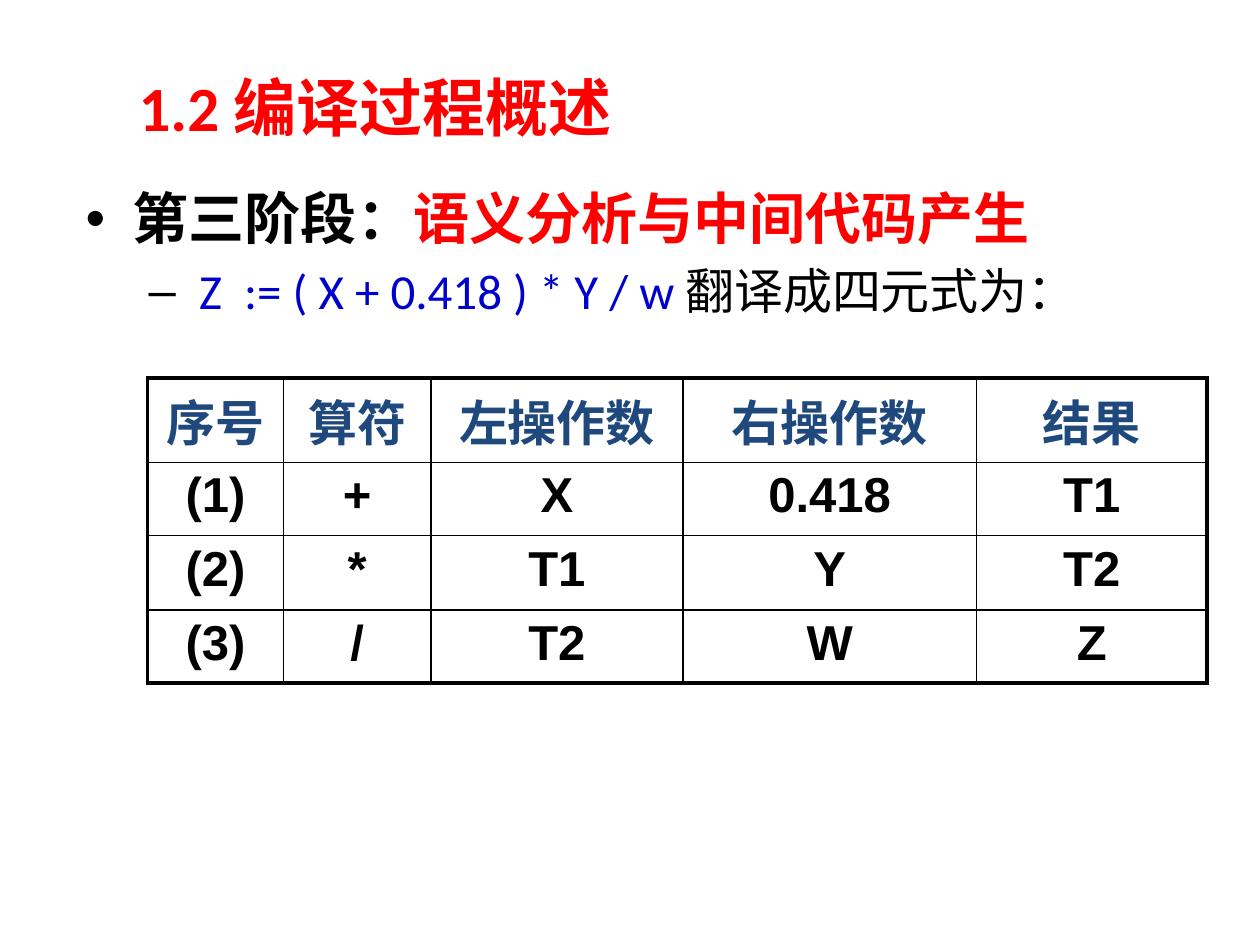
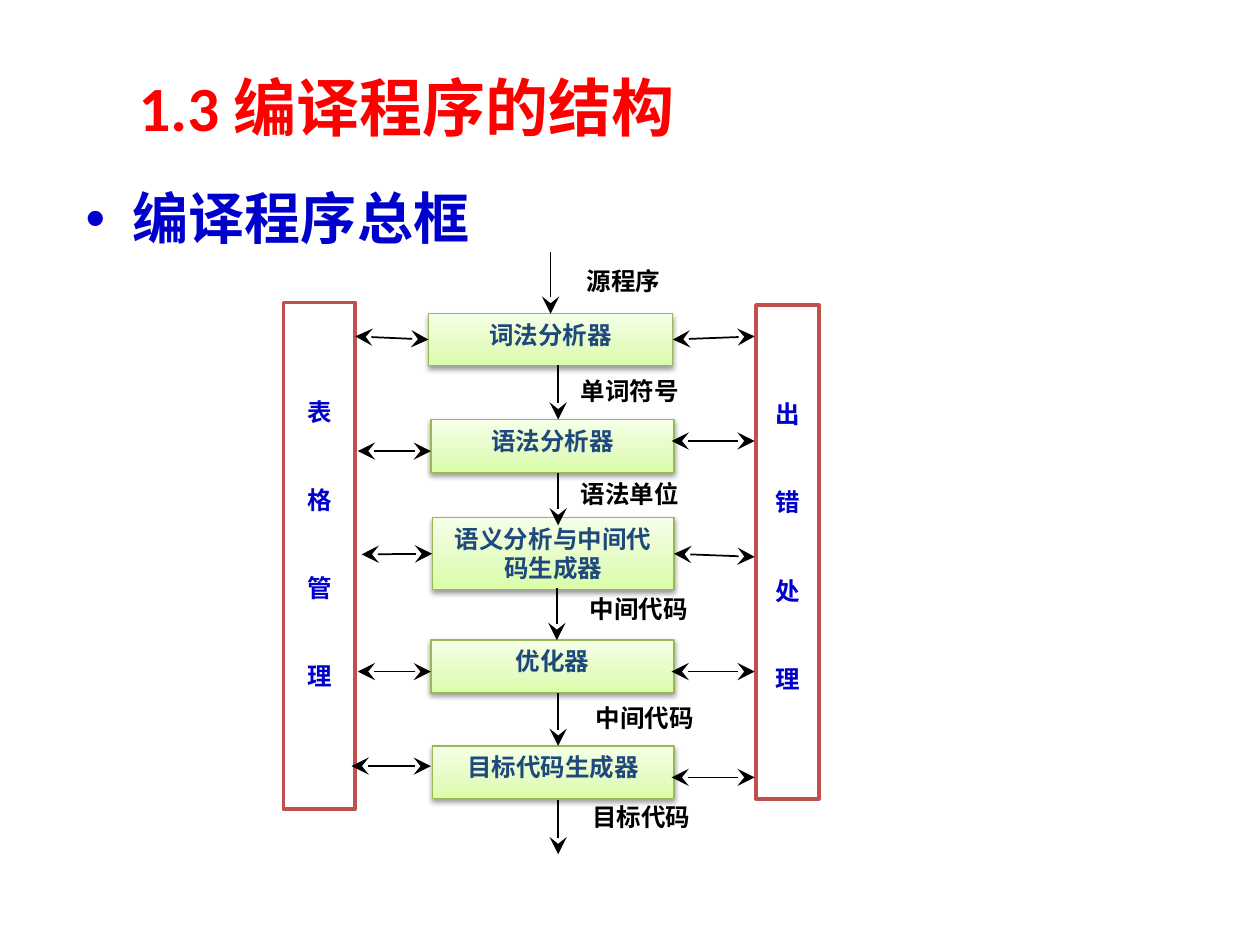
from pptx import Presentation
from pptx.dml.color import RGBColor
from pptx.enum.shapes import MSO_CONNECTOR, MSO_SHAPE
from pptx.enum.text import MSO_ANCHOR, MSO_AUTO_SIZE, PP_ALIGN
from pptx.oxml import parse_xml
from pptx.oxml.ns import nsdecls
from pptx.util import Inches, Pt

STRAIGHT = MSO_CONNECTOR.STRAIGHT
RECT = MSO_SHAPE.RECTANGLE
LEFT, CENTER = PP_ALIGN.LEFT, PP_ALIGN.CENTER
TOP, MIDDLE = MSO_ANCHOR.TOP, MSO_ANCHOR.MIDDLE
NO_FIT = MSO_AUTO_SIZE.NONE
SIDE_TOP, SIDE_LEFT, SIDE_RIGHT = 0, 1, 3

RED, BLUE, NAVY = "FF0000", "0000CC", "1F497D"
BLACK, WHITE = "000000", "FFFFFF"
GREEN_LINE, PANEL_LINE = "98B955", "C0504D"
GREEN_STOPS = [(0, "DAFDA7"), (35, "E4FCC2"), (100, "F5FFE7")]
CALIBRI, ARIAL, TIMES, NOTO = "Calibri", "Arial", "Times New Roman", "Noto Sans CJK SC"

QUADRUPLES = [
    ["序号", "算符", "左操作数", "右操作数", "结果"],
    ["(1)", "+", "X", "0.418", "T1"],
    ["(2)", "*", "T1", "Y", "T2"],
    ["(3)", "/", "T2", "W", "Z"],
]
COL_WIDTHS = [1.08, 1.17, 2, 2.33, 1.83]
ROW_HEIGHTS = [0.67, 0.58, 0.59, 0.58]

STAGES = [
    ("词法分析器", TIMES, (3.4, 2.49, 1.94, 0.41), (3.4, 2.82, 2.67), 2.67),
    ("语法分析器", TIMES, (3.42, 3.33, 1.93, 0.42), (3.42, 2.84, 3.58), 3.5),
    ("语义分析与中间代码生成器", NOTO, (3.43, 4.11, 1.92, 0.57), (3.44, 2.87, 4.4), 4.42),
    ("优化器", NOTO, (3.42, 5.08, 1.93, 0.42), (3.42, 2.84, 5.33), 5.33),
    ("目标代码生成器", NOTO, (3.43, 5.92, 1.92, 0.42), (3.42, 2.79, 6.08), 6.17),
]
FLOWS = [
    ("源程序", (4.56, 2.07, 1.44, 0.32), (4.39, 2, 2.5)),
    ("单词符号", (4.51, 2.96, 1.5, 0.28), (4.43, 2.9, 3.33)),
    ("语法单位", (4.51, 3.8, 1.48, 0.24), (4.43, 3.75, 4.17)),
    ("中间代码", (4.58, 4.71, 1.49, 0.25), (4.42, 4.67, 5.08)),
    ("中间代码", (4.63, 5.58, 1.54, 0.23), (4.43, 5.5, 5.92)),
    ("目标代码", (4.6, 6.36, 1.48, 0.24), (4.43, 6.35, 6.78)),
]


def rgb(value):
    """Turn a hex string into a colour."""
    return RGBColor.from_string(value)


def add_run(p, text, size, color, font, bold=True):
    """Add one formatted run to a paragraph."""
    r = p.add_run()
    r.text = text
    r.font.size, r.font.bold, r.font.name = Pt(size), bold, font
    r.font.color.rgb = rgb(color)


def place(sp, left, top, width, height):
    """Move and size a shape in inches."""
    sp.left, sp.top = Inches(left), Inches(top)
    sp.width, sp.height = Inches(width), Inches(height)


def add_titled_slide(prs, title, body_box, paragraphs):
    """Add a slide with a red title and a bulleted body."""
    s = prs.slides.add_slide(prs.slide_layouts[1])
    place(s.shapes.title, 1, 0.51, 6.75, 0.67)
    tf = s.shapes.title.text_frame
    tf.auto_size = NO_FIT
    tf.paragraphs[0].alignment = LEFT
    add_run(tf.paragraphs[0], title, 36, RED, CALIBRI)
    body = s.placeholders[1]
    place(body, *body_box)
    tf = body.text_frame
    tf.auto_size = NO_FIT
    for level, runs in enumerate(paragraphs):
        p = tf.add_paragraph() if level else tf.paragraphs[0]
        p.level = level
        if level:
            pPr = p._p.get_or_add_pPr()
            pPr.set("marL", str(Inches(0.9)))
            pPr.set("indent", str(Inches(-0.4)))
            pPr.append(parse_xml(f'<a:buClr {nsdecls("a")}>'
                                 f'<a:srgbClr val="{BLACK}"/></a:buClr>'))
        else:
            p.space_before = Pt(0)
        for run in runs:
            add_run(p, *run)
    return s


def set_borders(cell, widths):
    """Draw the left, right, top and bottom borders of a cell."""
    tcPr = cell._tc.get_or_add_tcPr()
    for i, (side, width) in enumerate(zip("LRTB", widths)):
        tcPr.insert(i, parse_xml(
            f'<a:ln{side} {nsdecls("a")} w="{Pt(width)}"><a:solidFill>'
            f'<a:srgbClr val="{BLACK}"/></a:solidFill></a:ln{side}>'))


def add_quadruple_table(s, left, top):
    """Add the table of quadruples with a heavy outer frame."""
    last_row, last_col = len(ROW_HEIGHTS) - 1, len(COL_WIDTHS) - 1
    table = s.shapes.add_table(
        last_row + 1, last_col + 1, Inches(left), Inches(top),
        Inches(sum(COL_WIDTHS)), Inches(sum(ROW_HEIGHTS))).table
    table.first_row = table.horz_banding = False
    for column, width in zip(table.columns, COL_WIDTHS):
        column.width = Inches(width)
    for i, (row, height) in enumerate(zip(table.rows, ROW_HEIGHTS)):
        row.height = Inches(height)
        for j, text in enumerate(QUADRUPLES[i]):
            cell = table.cell(i, j)
            cell.fill.solid()
            cell.fill.fore_color.rgb = rgb(WHITE)
            outer = (j == 0, j == last_col, i == 0, i == last_row)
            set_borders(cell, [2.25 if edge else 1 for edge in outer])
            p = cell.text_frame.paragraphs[0]
            p.alignment = CENTER
            add_run(p, text, 28, BLACK if i else NAVY, ARIAL)


def add_box(s, box, line, width):
    """Add an outlined rectangle with top-anchored, wrapped text."""
    sp = s.shapes.add_shape(RECT, *map(Inches, box))
    sp.line.color.rgb = rgb(line)
    sp.line.width = Pt(width)
    sp.text_frame.word_wrap = True
    sp.text_frame.vertical_anchor = TOP
    return sp


def add_stage(s, box, text, font):
    """Add a green gradient stage box with a soft shadow."""
    sp = add_box(s, box, GREEN_LINE, 0.75)
    sp.fill.gradient()
    sp.fill.gradient_angle = 90
    stops = sp._element.spPr.find(".//{*}gsLst")
    stops.clear()
    for position, color in GREEN_STOPS:
        stops.append(parse_xml(
            f'<a:gs {nsdecls("a")} pos="{position * 1000}">'
            f'<a:srgbClr val="{color}"/></a:gs>'))
    sp._element.spPr.append(parse_xml(
        f'<a:effectLst {nsdecls("a")}><a:outerShdw blurRad="{Pt(3.1)}" '
        f'dist="{Pt(1.6)}" dir="5400000" rotWithShape="0"><a:srgbClr val="{BLACK}">'
        '<a:alpha val="38000"/></a:srgbClr></a:outerShdw></a:effectLst>'))
    p = sp.text_frame.paragraphs[0]
    p.alignment = CENTER
    add_run(p, text, 14, NAVY, font)
    return sp


def add_panel(s, box, text):
    """Add a side panel whose characters run downwards."""
    sp = add_box(s, box, PANEL_LINE, 2)
    sp.shadow.inherit = False
    sp.fill.solid()
    sp.fill.fore_color.rgb = rgb(WHITE)
    tf = sp.text_frame
    tf.margin_top = Inches(0.75)
    for i, char in enumerate(text):
        p = tf.add_paragraph() if i else tf.paragraphs[0]
        p.alignment = CENTER
        p.space_before = Pt(33.5 if i else 0)
        add_run(p, char, 14, BLUE, TIMES)


def add_arrow(s, start, end, ends=("tailEnd",)):
    """Add a thin black connector with large stealth arrowheads."""
    c = s.shapes.add_connector(STRAIGHT, *map(Inches, start + end))
    c.line.color.rgb = rgb(BLACK)
    c.line.width = Pt(1)
    ln = c.line._get_or_add_ln()
    for name in ends:
        ln.append(parse_xml(
            f'<a:{name} {nsdecls("a")} type="stealth" w="lg" len="lg"/>'))
    c._element.spPr.append(parse_xml(f'<a:effectLst {nsdecls("a")}/>'))
    return c


def add_link(s, stage, side, x, panel_x, y):
    """Link a stage to a side panel, joined where it meets the side's middle."""
    link = add_arrow(s, (x, y), (panel_x, y), ("headEnd", "tailEnd"))
    if abs(stage.top + stage.height / 2 - Inches(y)) < Inches(0.03):
        link.begin_connect(stage, side)


def add_flow(s, text, label_box, x, top, bottom):
    """Add a downward arrow and the name of what it carries."""
    tb = s.shapes.add_textbox(*map(Inches, label_box))
    tb.text_frame.word_wrap = True
    tb.text_frame.vertical_anchor = MIDDLE
    add_run(tb.text_frame.paragraphs[0], text, 14, BLACK, TIMES)
    return add_arrow(s, (x, top), (x, bottom))


def add_compiler_diagram(s):
    """Add the stage column, its flow arrows and both side panels."""
    add_panel(s, (2.25, 2.4, 0.57, 4.02), "表格管理")
    add_panel(s, (6, 2.42, 0.5, 3.92), "出错处理")
    stages = []
    for text, font, box, left_link, right_y in STAGES:
        stage = add_stage(s, box, text, font)
        add_link(s, stage, SIDE_LEFT, *left_link)
        add_link(s, stage, SIDE_RIGHT, 5.33, 5.99, right_y)
        stages.append(stage)
    flows = [add_flow(s, text, box, *line) for text, box, line in FLOWS]
    flows[0].end_connect(stages[0], SIDE_TOP)
    flows[0].begin_x = flows[0].end_x


def main():
    """Build and save both slides."""
    prs = Presentation()
    prs.slide_width, prs.slide_height = Inches(10), Inches(7.5)
    s = add_titled_slide(prs, "1.2 编译过程概述", (0.58, 1.41, 8.92, 1.33), [
        [("第三阶段：", 32, BLACK, CALIBRI), ("语义分析与中间代码产生", 32, RED, CALIBRI)],
        [("Z  := ( X + 0.418 ) * Y / w ", 28, BLUE, CALIBRI, False),
         ("翻译成四元式为：", 28, BLACK, NOTO, False)],
    ])
    add_quadruple_table(s, 1.17, 3)
    s = add_titled_slide(prs, "1.3 编译程序的结构", (0.58, 1.41, 9, 0.92), [
        [("编译程序总框", 32, BLUE, CALIBRI)],
    ])
    add_compiler_diagram(s)
    prs.save("out.pptx")


if __name__ == "__main__":
    main()
